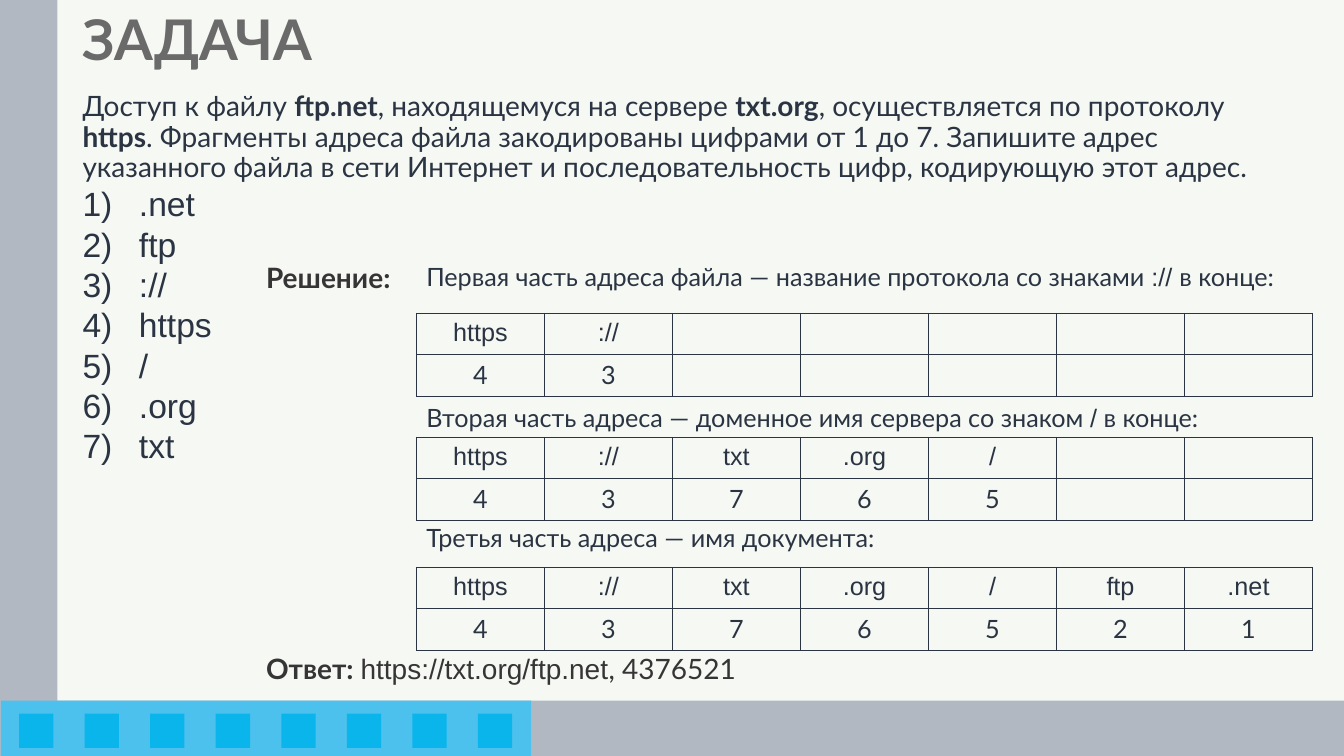
from lxml.etree import SubElement
from pptx import Presentation
from pptx.dml.color import RGBColor as RGB
from pptx.enum.shapes import MSO_SHAPE as SHAPE
from pptx.enum.text import MSO_ANCHOR as ANCHOR, PP_ALIGN as ALIGN
from pptx.oxml import parse_xml
from pptx.oxml.ns import nsdecls, qn
from pptx.util import Inches, Pt

THEME = {
    "paper": "F6F8F3", "bar": "B2B8C2", "strip": "4DC1ED", "square": "0AB5EC",
    "title": "6A6A6A", "ink": "2A3442", "label": "353535",
    "main": "Lato", "code": "Arial",
    "title_size": 40, "task_size": 20, "list_size": 24, "step_size": 18,
}
MAIN, CODE = THEME["main"], THEME["code"]

TITLE = [("ЗАДАЧА", MAIN, True)]
TASK = [
    ("Доступ к файлу ", MAIN, False),
    ("ftp.net", MAIN, True),
    (", находящемуся на сервере ", MAIN, False),
    ("txt.org", MAIN, True),
    (", осуществляется по протоколу ", MAIN, False),
    ("https", MAIN, True),
    (". Фрагменты адреса файла закодированы цифрами от 1 до 7. Запишите адрес "
     "указанного файла в сети Интернет и последовательность цифр, кодирующую этот адрес.",
     MAIN, False),
]
FRAGMENTS = [".net", "ftp", "://", "https", "/", ".org", "txt"]
ADDRESS = ["https", "://", "txt", ".org", "/", "ftp", ".net"]
SOLUTION = [("Решение:", MAIN, True)]
ANSWER = [
    ("Ответ: ", MAIN, True),
    ("https://txt.org/ftp.net", CODE, False),
    (", 4376521", MAIN, False),
]
STEPS = [
    (2.54, 3.11, 2, [("Первая часть адреса файла — название протокола со знаками ", MAIN, False),
                     (":// ", CODE, False), ("в конце:", MAIN, False)]),
    (3.94, 4.34, 5, [("Вторая часть адреса — доменное имя сервера со знаком ", MAIN, False),
                     ("/", CODE, False), (" в конце:", MAIN, False)]),
    (5.13, 5.63, 7, [("Третья часть адреса — имя документа:", MAIN, False)]),
]
BARS = [
    (0, 0, 0.57, 7.5, "bar"),
    (0, 6.95, 13.33, 0.57, "bar"),
    (0.01, 6.95, 5.26, 0.57, "strip"),
]
SQUARES = [(0.19 + 0.65 * i, 7.08, 0.34, 0.34, "square") for i in range(8)]
STEP_LEFT, LABEL_LEFT, BODY_LEFT = 4.13, 2.54, 0.72
COL_WIDTH, ROW_HEIGHT = 1.27, 0.41


def color(name):
    return RGB.from_string(THEME[name])


def add_runs(p, runs, size, ink):
    for text, face, bold in runs:
        r = p.add_run()
        r.text = text
        r.font.name = face
        r.font.bold = bold
        r.font.size = Pt(THEME[size])
        r.font.color.rgb = color(ink)


def add_text(s, box, runs, size, ink):
    tf = s.shapes.add_textbox(*map(Inches, box)).text_frame
    tf.word_wrap = True
    add_runs(tf.paragraphs[0], runs, size, ink)
    return tf


def add_block(s, left, top, width, height, fill):
    sp = s.shapes.add_shape(SHAPE.RECTANGLE, *map(Inches, (left, top, width, height)))
    sp.shadow.inherit = False
    sp.fill.solid()
    sp.fill.fore_color.rgb = color(fill)
    sp.line.fill.background()


def add_fragments(tf):
    for fragment in FRAGMENTS:
        p = tf.add_paragraph()
        pPr = p._p.get_or_add_pPr()
        pPr.set("marL", str(Inches(0.56)))
        pPr.set("indent", str(-Inches(0.56)))
        SubElement(pPr, qn("a:buFont")).set("typeface", CODE)
        SubElement(pPr, qn("a:buAutoNum")).set("type", "arabicParenR")
        p.line_spacing = Pt(28.8)
        add_runs(p, [(fragment, CODE, False)], "list_size", "ink")


def style_cell(cell):
    cell.fill.background()
    tcPr = cell._tc.get_or_add_tcPr()
    for i, side in enumerate(("lnL", "lnR", "lnT", "lnB")):
        tcPr.insert(i, parse_xml(
            f'<a:{side} {nsdecls("a")} w="{Pt(1)}"><a:solidFill>'
            f'<a:srgbClr val="{THEME["ink"]}"/></a:solidFill></a:{side}>'))


def add_address_table(s, top, known):
    cols = len(ADDRESS)
    table = s.shapes.add_table(2, cols, Inches(STEP_LEFT), Inches(top),
                               Inches(COL_WIDTH * cols), Inches(ROW_HEIGHT * 2)).table
    table.first_row = table.horz_banding = False
    for row in table.rows:
        row.height = Inches(ROW_HEIGHT)
    for col, part in enumerate(ADDRESS):
        table.columns[col].width = Inches(COL_WIDTH)
        code = str(FRAGMENTS.index(part) + 1)
        for row, (text, face) in enumerate(((part, CODE), (code, MAIN))):
            cell = table.cell(row, col)
            style_cell(cell)
            if col < known:
                p = cell.text_frame.paragraphs[0]
                p.alignment = ALIGN.CENTER
                add_runs(p, [(text, face, False)], "step_size", "ink")


def main():
    prs = Presentation()
    prs.slide_width, prs.slide_height = Inches(13.33), Inches(7.5)
    s = prs.slides.add_slide(prs.slide_layouts[6])
    s.background.fill.solid()
    s.background.fill.fore_color.rgb = color("paper")
    for block in BARS + SQUARES:
        add_block(s, *block)

    title = add_text(s, (BODY_LEFT, -0.3, 11.88, 1.45), TITLE, "title_size", "title")
    title.vertical_anchor = ANCHOR.MIDDLE
    title.paragraphs[0].line_spacing = 0.9
    body = add_text(s, (BODY_LEFT, 0.87, 11.88, 5.87), TASK, "task_size", "ink")
    body.paragraphs[0].line_spacing = 0.9
    add_fragments(body)

    for top, runs in ((2.54, SOLUTION), (6.41, ANSWER)):
        add_text(s, (LABEL_LEFT, top, 6.68, 0.44), runs, "task_size", "label")
    for text_top, table_top, known, runs in STEPS:
        add_text(s, (STEP_LEFT, text_top, 9.2, 0.4), runs, "step_size", "ink")
        add_address_table(s, table_top, known)
    prs.save("out.pptx")


if __name__ == "__main__":
    main()
